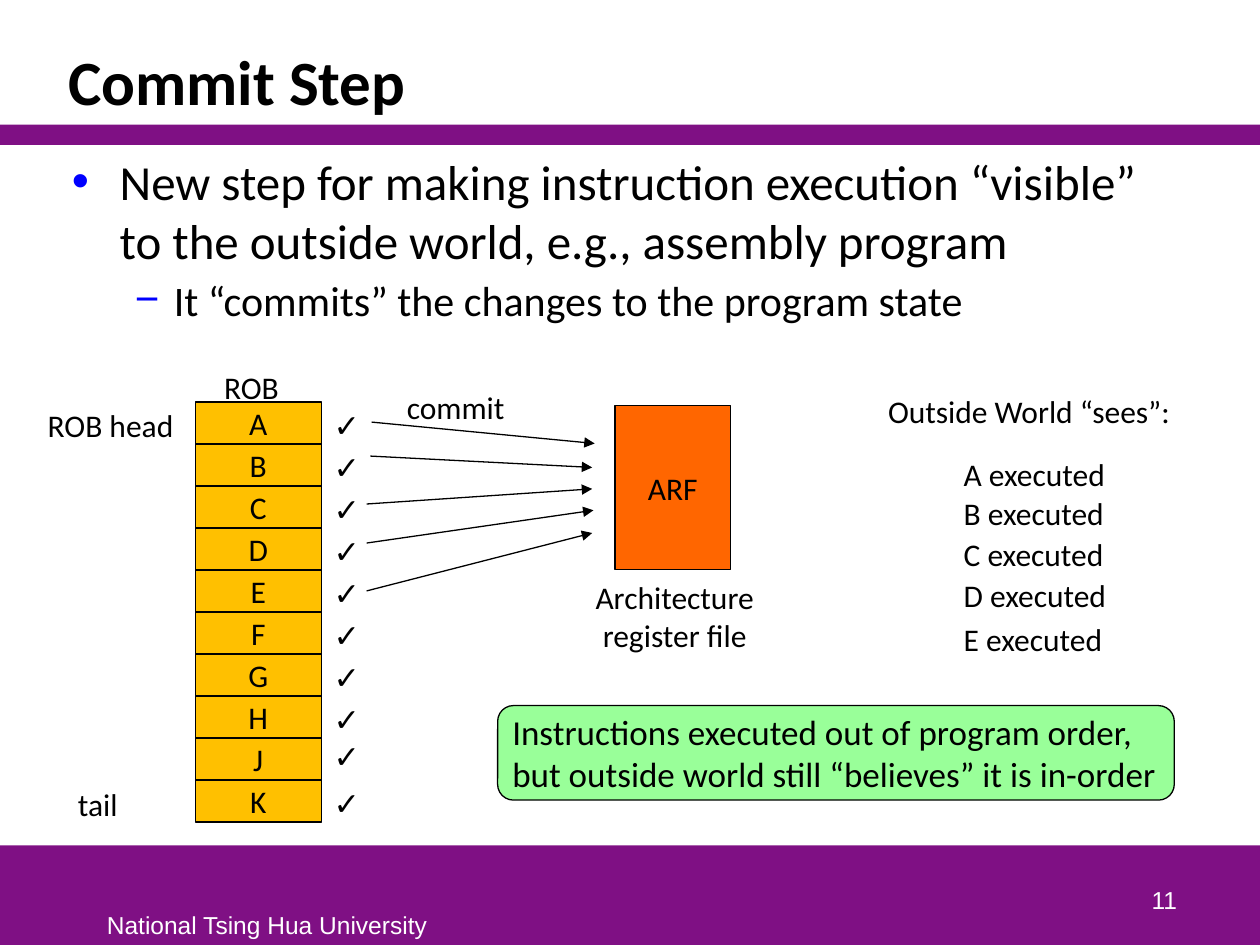
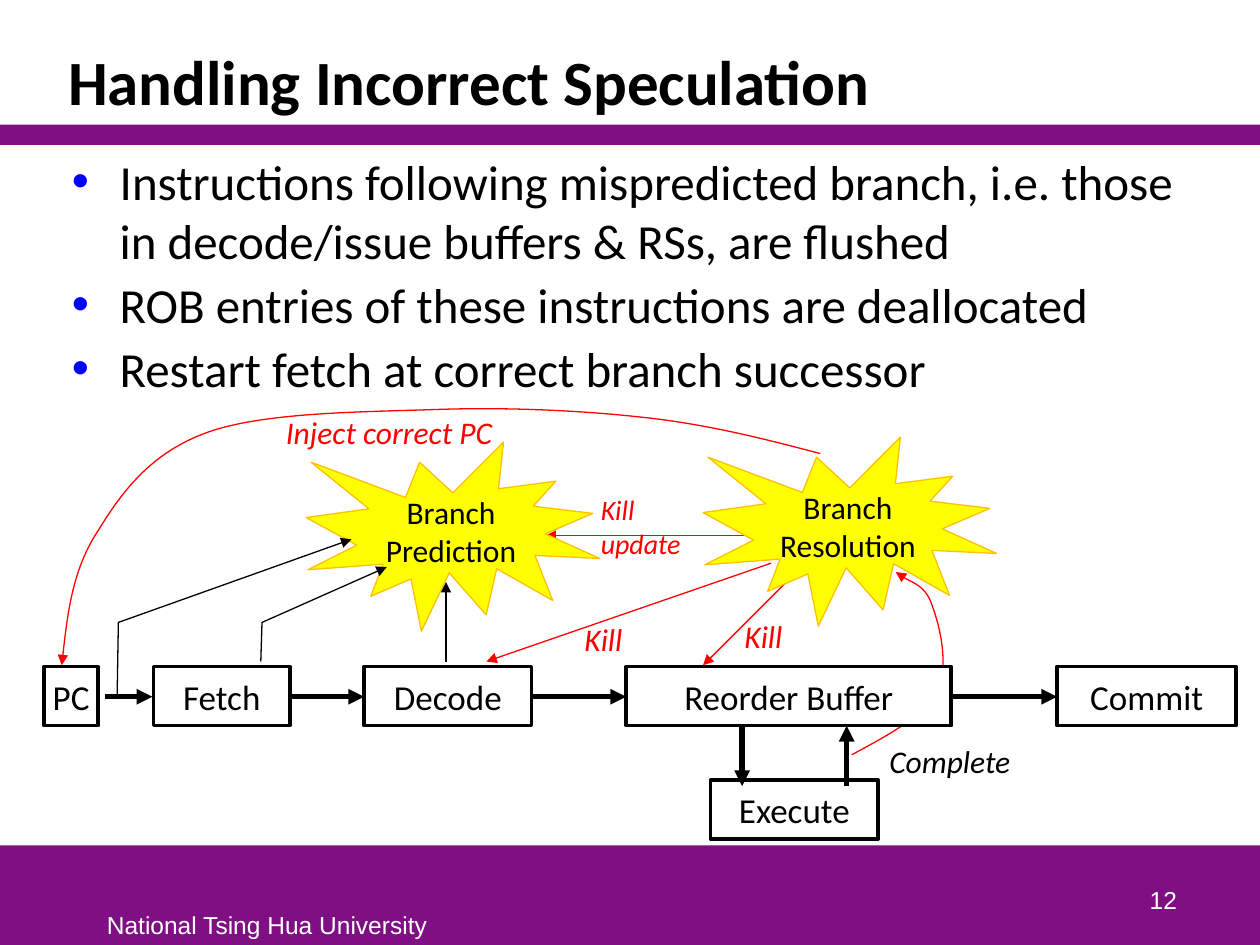
from lxml import etree
from pptx import Presentation
from pptx.dml.color import RGBColor
from pptx.enum.shapes import MSO_CONNECTOR, MSO_SHAPE
from pptx.enum.text import MSO_ANCHOR, MSO_AUTO_SIZE, PP_ALIGN
from pptx.oxml.ns import qn
from pptx.util import Inches, Pt

RECTANGLE = MSO_SHAPE.RECTANGLE
ROUNDED = MSO_SHAPE.ROUNDED_RECTANGLE
BURST = MSO_SHAPE.EXPLOSION1
STRAIGHT = MSO_CONNECTOR.STRAIGHT
TOP, MIDDLE, BOTTOM = MSO_ANCHOR.TOP, MSO_ANCHOR.MIDDLE, MSO_ANCHOR.BOTTOM
LEFT, CENTER, RIGHT = PP_ALIGN.LEFT, PP_ALIGN.CENTER, PP_ALIGN.RIGHT
FIXED, GROW = MSO_AUTO_SIZE.NONE, MSO_AUTO_SIZE.SHAPE_TO_FIT_TEXT

BLACK = RGBColor(0x00, 0x00, 0x00)
WHITE = RGBColor(0xFF, 0xFF, 0xFF)
PURPLE = RGBColor(0x7F, 0x10, 0x84)
BLUE = RGBColor(0x00, 0x00, 0xFF)
RED = RGBColor(0xFF, 0x00, 0x00)
AMBER = RGBColor(0xFF, 0xC0, 0x00)
ORANGE = RGBColor(0xFF, 0x66, 0x00)
GREEN = RGBColor(0x99, 0xFF, 0x99)
YELLOW = RGBColor(0xFF, 0xFF, 0x00)

BULLETS = [("•", 0.38, -0.38, 28), ("−", 0.81, -0.31, 24)]


def add_text(slide, box, text, holder=None, preset=None, fill=None, line=BLACK,
             line_width=0.75, size=18, font="Calibri", color=BLACK, bold=False,
             italic=False, align=LEFT, anchor=TOP, wrap=False, insets=None,
             spacing=1.0, levels=None):
    left, top, width, height = [Inches(value) for value in box]
    shape = holder
    if holder is not None:
        shape.left, shape.top, shape.width, shape.height = left, top, width, height
    elif preset is not None:
        shape = slide.shapes.add_shape(preset, left, top, width, height)
        shape.shadow.inherit = False
        shape.fill.solid()
        shape.fill.fore_color.rgb = fill
        if line is None:
            shape.line.fill.background()
        else:
            shape.line.color.rgb = line
            shape.line.width = Pt(line_width)
    else:
        shape = slide.shapes.add_textbox(left, top, width, height)

    frame = shape.text_frame
    frame.word_wrap = wrap
    frame.auto_size = GROW if holder is None and preset is None and anchor == TOP else FIXED
    frame.vertical_anchor = anchor
    if insets:
        horizontal, vertical = [Inches(value) for value in insets]
        frame.margin_left = frame.margin_right = horizontal
        frame.margin_top = frame.margin_bottom = vertical
    for index, content in enumerate(text.split("\n")):
        paragraph = frame.paragraphs[0] if index == 0 else frame.add_paragraph()
        paragraph.alignment = align
        paragraph.line_spacing = spacing
        paragraph.space_before = Pt(3 if levels and index else 0)
        run_size = size
        if levels:
            paragraph.level = levels[index]
            mark, margin, indent, run_size = BULLETS[levels[index]]
            properties = paragraph._p.get_or_add_pPr()
            properties.set("marL", str(Inches(margin)))
            properties.set("indent", str(Inches(indent)))
            bullet_color = etree.SubElement(properties, qn("a:buClr"))
            etree.SubElement(bullet_color, qn("a:srgbClr"), val=str(BLUE))
            etree.SubElement(properties, qn("a:buChar"), char=mark)
        run = paragraph.add_run()
        run.text = content
        run.font.name = font
        run.font.size = Pt(run_size)
        run.font.color.rgb = color
        run.font.bold = bold
        run.font.italic = italic
    return shape


def add_arrow(slide, points, color=BLACK, width=0.75, curved=False):
    points = [(Inches(x), Inches(y)) for x, y in points]
    if len(points) == 2:
        arrow = slide.shapes.add_connector(STRAIGHT, *points[0], *points[1])
    else:
        builder = slide.shapes.build_freeform(*points[0])
        builder.add_line_segments(points[1:], close=False)
        arrow = builder.convert_to_shape()
        arrow.fill.background()
    arrow.line.color.rgb = color
    arrow.line.width = Pt(width)
    properties = arrow.element.spPr
    etree.SubElement(properties.find(qn("a:ln")), qn("a:tailEnd"), type="triangle")
    etree.SubElement(properties, qn("a:effectLst"))
    if curved:
        segments = list(properties.iter(qn("a:lnTo")))
        outline = segments[0].getparent()
        for start in range(0, len(segments), 3):
            curve = etree.SubElement(outline, qn("a:cubicBezTo"))
            for segment in segments[start:start + 3]:
                curve.append(segment[0])
                outline.remove(segment)


presentation = Presentation()
presentation.slide_width = Inches(10)
presentation.slide_height = Inches(7.5)
layout = presentation.slide_layouts[1]

contents = [
    ("Commit Step",
     "New step for making instruction execution “visible” to the outside world, "
     "e.g., assembly program\nIt “commits” the changes to the program state", [0, 1]),
    ("Handling Incorrect Speculation",
     "Instructions following mispredicted branch, i.e. those in decode/issue buffers "
     "& RSs, are flushed\nROB entries of these instructions are deallocated\n"
     "Restart fetch at correct branch successor", [0, 0, 0]),
]
for number, (title, body, levels) in enumerate(contents, 11):
    slide = presentation.slides.add_slide(layout)
    add_text(slide, (0.44, 0.25, 8.97, 0.74), title, holder=slide.shapes.title, size=36,
             bold=True, anchor=BOTTOM, wrap=True, spacing=0.85)
    add_text(slide, (0.47, 1.15, 8.94, 5.43), body, holder=slide.placeholders[1],
             levels=levels, wrap=True)
    add_text(slide, (7.36, 6.81, 2.08, 0.5), str(number), size=14, font="Arial",
             color=WHITE, align=RIGHT, anchor=BOTTOM, wrap=True)

commit_slide, speculation_slide = presentation.slides

shared_shapes = [
    add_text(commit_slide, (0, 6.71, 10, 0.79), "", preset=RECTANGLE, fill=PURPLE, line=None),
    add_text(commit_slide, (0, 0.99, 10, 0.16), "", preset=RECTANGLE, fill=PURPLE, line=None),
    add_text(commit_slide, (0.75, 7.17, 2.76, 0.33), "National Tsing Hua University",
             size=14, font="Arial", color=WHITE),
]
for shape_id, shape in enumerate(shared_shapes, 20):
    shape.element.nvSpPr.cNvPr.set("id", str(shape_id))
    layout.shapes.element.append(shape.element)

for row, entry in enumerate("ABCDEFGHJK"):
    row_top = 3.19 + row / 3
    check_top = 5.85 if entry == "J" else row_top + 0.03
    add_text(commit_slide, (1.55, row_top, 1, 1 / 3), entry, preset=RECTANGLE,
             fill=AMBER, align=CENTER, anchor=MIDDLE)
    add_text(commit_slide, (2.55, check_top, 0.4, 0.3), "✓", wrap=True, insets=(0.1, 0))

add_text(commit_slide, (4.88, 3.22, 0.92, 1.3), "ARF", preset=RECTANGLE, fill=ORANGE,
         align=CENTER, anchor=MIDDLE)

commits = [
    ("A", 1.34, 3.56, (2.95, 3.35), (4.72, 3.52)),
    ("B", 1.33, 3.87, (2.94, 3.62), (4.7, 3.71)),
    ("C", 1.33, 4.2, (2.91, 4), (4.7, 3.88)),
    ("D", 1.35, 4.52, (2.91, 4.31), (4.71, 4.05)),
    ("E", 1.31, 4.87, (2.91, 4.69), (4.7, 4.23)),
]
for entry, width, top, start, end in commits:
    add_arrow(commit_slide, [start, end])
    add_text(commit_slide, (7.55, top, width, 0.4), f"{entry} executed")

commit_labels = [
    ("commit", 3.13, 3.03, 1.01),
    ("Outside World “sees”:", 6.95, 3.06, 2.46),
    ("ROB", 1.68, 2.87, 0.64),
    ("ROB head", 0.28, 3.17, 1.21),
    ("tail", 0.52, 6.18, 0.52),
]
for label, left, top, width in commit_labels:
    add_text(commit_slide, (left, top, width, 0.4), label)
add_text(commit_slide, (4.37, 4.54, 1.97, 0.71), "Architecture register file",
         align=CENTER, wrap=True)
add_text(commit_slide, (3.95, 5.6, 5.37, 0.75),
         "Instructions executed out of program order,\n"
         "but outside world still “believes” it is in-order",
         preset=ROUNDED, fill=GREEN, size=20, anchor=MIDDLE, insets=(0.08, 0.08))

kill_arrows = [
    [(6.25, 4.61), (5.58, 5.28)],
    [(6.12, 4.47), (3.86, 5.25)],
    [(5.94, 4.25), (4.33, 4.25)],
]
for points in kill_arrows:
    add_arrow(speculation_slide, points, color=RED)

red_labels = [
    ("Kill\nupdate", (4.67, 3.86, 0.84, 0.64), 16),
    ("Kill", (4.54, 4.87, 0.51, 0.4), 18),
    ("Kill", (5.81, 4.85, 0.51, 0.4), 18),
    ("Inject correct PC", (2.17, 3.23, 1.86, 0.4), 18),
]
for label, box, size in red_labels:
    add_text(speculation_slide, box, label, size=size, color=RED, italic=True)

for label, left, top in [("Resolution", 5.58, 3.47), ("Prediction", 2.43, 3.51)]:
    add_text(speculation_slide, (left, top, 2.33, 1.5), f"Branch\n{label}", preset=BURST,
             fill=YELLOW, line=AMBER, align=CENTER, anchor=MIDDLE)

inject_curve = [
    (6.51, 3.6), (6.09, 3.49), (5.67, 3.38), (5.17, 3.32),
    (4.66, 3.26), (4.06, 3.23), (3.47, 3.25),
    (2.89, 3.27), (2.1, 3.27), (1.65, 3.43),
    (1.2, 3.59), (0.97, 3.9), (0.78, 4.21),
    (0.58, 4.51), (0.53, 4.9), (0.49, 5.28),
]
complete_curve = [
    (6.76, 5.99), (7.04, 5.84), (7.32, 5.69), (7.43, 5.5),
    (7.54, 5.3), (7.46, 4.97), (7.4, 4.81),
    (7.35, 4.65), (7.16, 4.59), (7.11, 4.54),
]
prediction_arrows = [
    [(3.54, 5.25), (3.54, 4.62)],
    [(2.07, 5.25), (2.08, 4.94), (3.07, 4.5)],
    [(0.93, 5.53), (0.94, 4.94), (2.79, 4.28)],
]
for points in [inject_curve, complete_curve]:
    add_arrow(speculation_slide, points, color=RED, curved=True)
for points in prediction_arrows:
    add_arrow(speculation_slide, points)

stages = [
    ("PC", 0.35, 5.29, 0.43),
    ("Fetch", 1.22, 5.29, 1.08),
    ("Decode", 2.89, 5.29, 1.33),
    ("Reorder Buffer", 4.97, 5.29, 2.58),
    ("Commit", 8.39, 5.29, 1.42),
    ("Execute", 5.64, 6.19, 1.33),
]
for label, left, top, width in stages:
    add_text(speculation_slide, (left, top, width, 0.47), label, preset=RECTANGLE,
             fill=WHITE, line_width=2, size=20, align=CENTER, anchor=MIDDLE)

for start, end in [(0.83, 1.21), (2.31, 2.89), (4.22, 4.97), (7.56, 8.39)]:
    add_arrow(speculation_slide, [(start, 5.53), (end, 5.53)], width=3)
for x, start, end in [(5.89, 5.76, 6.24), (6.72, 6.24, 5.76)]:
    add_arrow(speculation_slide, [(x, start), (x, end)], width=3)
add_text(speculation_slide, (6.96, 5.84, 1.17, 0.4), "Complete", italic=True)

presentation.save("out.pptx")
